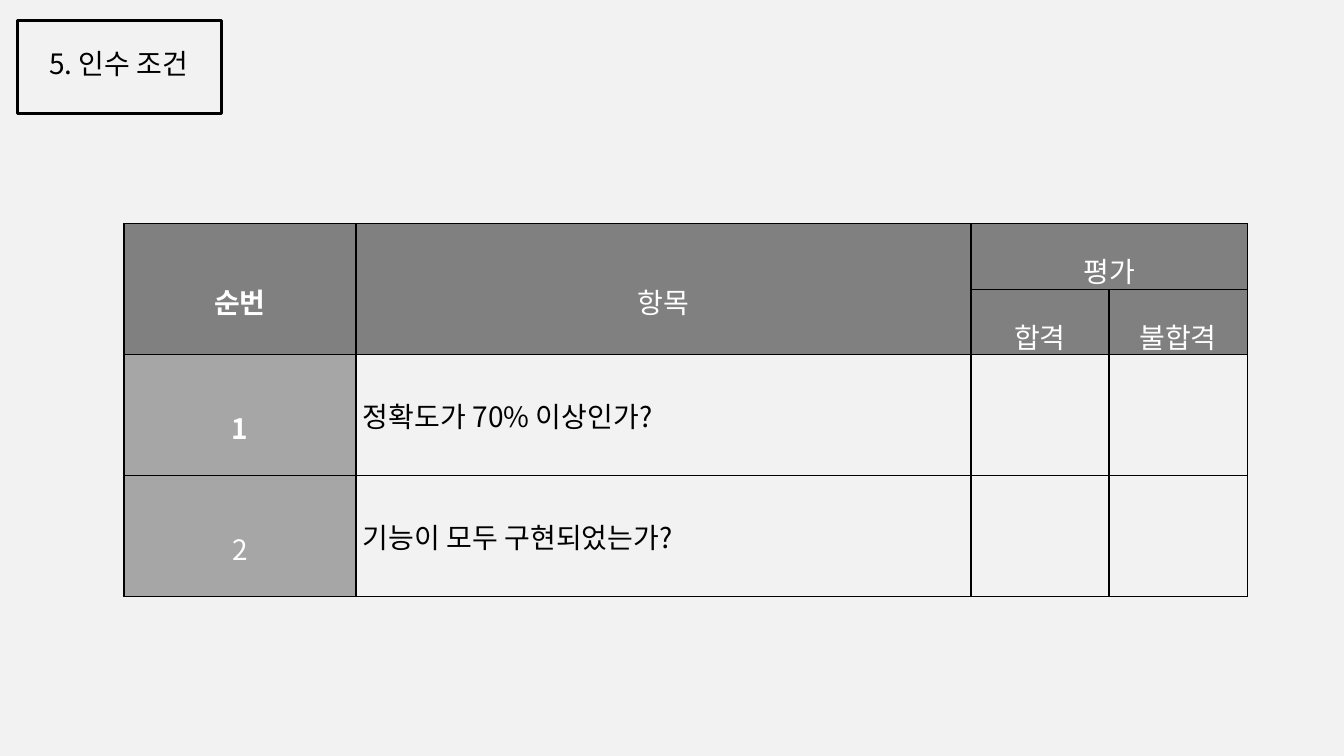
"""Build the acceptance criteria slide with its evaluation table."""
import pptx
import pptx.util
import pptx.dml.color
import pptx.enum.shapes
import pptx.enum.text
import pptx.oxml
import pptx.oxml.ns

TITLE = "5. 인수 조건"
ROWS = [
    ["순번", "항목", "평가", ""],
    ["", "", "합격", "불합격"],
    ["1", "정확도가 70% 이상인가?", "", ""],
    ["2", "기능이 모두 구현되었는가?", "", ""],
]
MERGES = [((0, 0), (1, 0)), ((0, 1), (1, 1)), ((0, 2), (0, 3))]
BOLD = {"순번", "1"}
HEADER_ROWS = 2
COLUMN_WIDTHS = [2.3, 6.1, 1.37, 1.37]
ROW_HEIGHTS = [0.65, 0.65, 1.2, 1.2]
COLORS = {"page": "F2F2F2", "ink": "000000", "header": "808080",
          "number": "A6A6A6", "light": "FFFFFF"}
FONT = "Noto Sans CJK KR"
TEXT_SIZE = 20
CENTER = pptx.enum.text.PP_ALIGN.CENTER
LEFT = pptx.enum.text.PP_ALIGN.LEFT
MIDDLE = pptx.enum.text.MSO_ANCHOR.MIDDLE
inches = pptx.util.Inches


def color(name):
    return pptx.dml.color.RGBColor.from_string(COLORS[name])


def write(frame, text, ink, align, bold=False):
    para = frame.paragraphs[0]
    para.alignment = align
    span = para.add_run()
    span.text = text
    span.font.size = pptx.util.Pt(TEXT_SIZE)
    span.font.name = FONT
    span.font.bold = bold
    span.font.color.rgb = color(ink)
    east_asian = pptx.oxml.parse_xml(
        f'<a:ea {pptx.oxml.ns.nsdecls("a")} typeface="{FONT}"/>')
    span.font._element.find(pptx.oxml.ns.qn("a:latin")).addnext(east_asian)
    return para


def draw_borders(cell):
    properties = cell._tc.get_or_add_tcPr()
    for side in ("lnL", "lnR", "lnT", "lnB"):
        properties.append(pptx.oxml.parse_xml(
            f'<a:{side} {pptx.oxml.ns.nsdecls("a")} w="{pptx.util.Pt(1)}">'
            f'<a:solidFill><a:srgbClr val="{COLORS["ink"]}"/></a:solidFill></a:{side}>'))


def add_title(page):
    frame = page.shapes.add_shape(
        pptx.enum.shapes.MSO_SHAPE.RECTANGLE,
        inches(0.17), inches(0.2), inches(2.03), inches(0.93))
    frame.shadow.inherit = False
    frame.fill.background()
    frame.line.color.rgb = color("ink")
    frame.line.width = pptx.util.Pt(2)
    box = page.shapes.add_textbox(inches(0.13), inches(0.41), inches(2.1), inches(0.44))
    box.text_frame.word_wrap = True
    write(box.text_frame, TITLE, "ink", CENTER)


def fill_cell(cell, row, column, text):
    header = row < HEADER_ROWS
    item = column == 1 and not header
    draw_borders(cell)
    if header or column == 0:
        cell.fill.solid()
        cell.fill.fore_color.rgb = color("header" if header else "number")
    else:
        cell.fill.background()
    cell.vertical_anchor = MIDDLE
    cell.margin_left = inches(0.07)
    cell.margin_right = inches(0.12 if item else 0.07)
    cell.margin_top = cell.margin_bottom = inches(0.02)
    if text:
        para = write(cell.text_frame, text, "ink" if item else "light",
                     LEFT if item else CENTER, text in BOLD)
        if not item:
            para.line_spacing = 1.6


def add_criteria(page):
    table = page.shapes.add_table(
        len(ROW_HEIGHTS), len(COLUMN_WIDTHS), inches(1.23), inches(2.22),
        inches(sum(COLUMN_WIDTHS)), inches(sum(ROW_HEIGHTS))).table
    table.first_row = table.horz_banding = False
    for column, width in zip(table.columns, COLUMN_WIDTHS):
        column.width = inches(width)
    for row, height in zip(table.rows, ROW_HEIGHTS):
        row.height = inches(height)
    for start, end in MERGES:
        table.cell(*start).merge(table.cell(*end))
    for row, texts in enumerate(ROWS):
        for column, text in enumerate(texts):
            fill_cell(table.cell(row, column), row, column, text)


def main():
    deck = pptx.Presentation()
    deck.slide_width, deck.slide_height = inches(13.33), inches(7.5)
    page = deck.slides.add_slide(deck.slide_layouts[6])
    page.background.fill.solid()
    page.background.fill.fore_color.rgb = color("page")
    add_title(page)
    add_criteria(page)
    deck.save("out.pptx")


if __name__ == "__main__":
    main()
